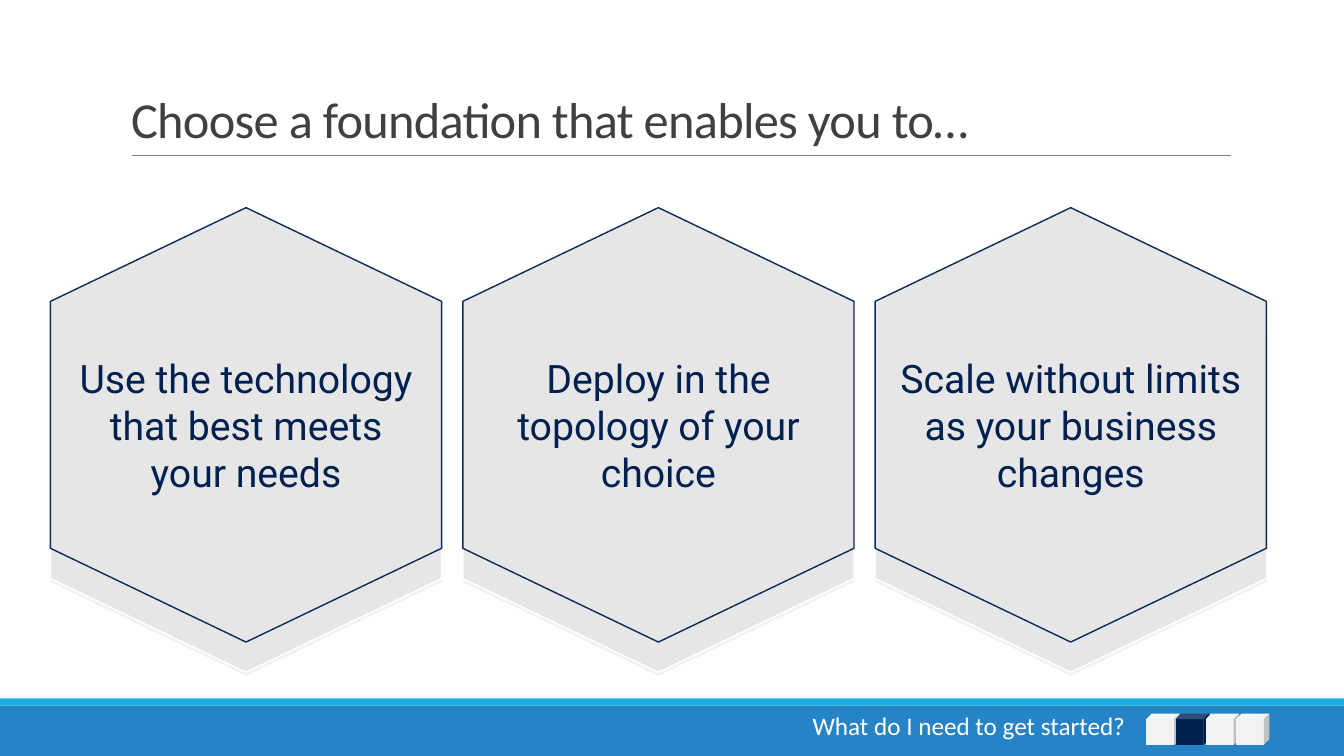
from dataclasses import dataclass

from lxml.etree import SubElement
from pptx import Presentation
from pptx.dml.color import RGBColor as RGB
from pptx.enum.shapes import MSO_CONNECTOR as LINK, MSO_SHAPE as KIND
from pptx.enum.text import MSO_ANCHOR as ANCHOR, MSO_AUTO_SIZE as FIT, PP_ALIGN as ALIGN
from pptx.oxml.ns import qn
from pptx.util import Pt

PX = 9144


@dataclass(frozen=True)
class Theme:
    """Colours, fonts and type sizes of the slide."""
    band: str = "2683C6"
    strip: str = "1CADE4"
    rule: str = "808080"
    title: str = "404040"
    face: str = "E6E6E6"
    edge: str = "0D2B59"
    navy: str = "002050"
    pale: str = "F2F2F2"
    white: str = "FFFFFF"
    sans: str = "Calibri"
    body: str = "Roboto"
    head: int = 36
    text: int = 28
    note: int = 18


THEME = Theme()
GOALS = (
    "Use the technology that best meets your needs",
    "Deploy in the topology of your choice",
    "Scale without limits as your business changes",
)


def px(*sizes):
    """Turn px lengths into EMU."""
    return [size * PX for size in sizes]


def paint(shape, fill, line=None):
    """Give a shape a flat fill and an optional thin outline."""
    shape.shadow.inherit = False
    shape.fill.solid()
    shape.fill.fore_color.rgb = RGB.from_string(fill)
    if line:
        shape.line.color.rgb = RGB.from_string(line)
        shape.line.width = Pt(1)
    else:
        shape.line.fill.background()


def write(frame, words, face, size, color, align):
    """Fill a text frame with one styled paragraph and return it."""
    frame.word_wrap = True
    frame.text = words
    para = frame.paragraphs[0]
    para.alignment = align
    font = para.runs[0].font
    font.name, font.size = face, Pt(size)
    font.color.rgb = RGB.from_string(color)
    return para


def block(slide, kind, box, fill):
    """Add a plain filled preset shape."""
    shape = slide.shapes.add_shape(kind, *px(*box))
    paint(shape, fill)
    return shape


def header(slide, box):
    """Place the title and the rule below it."""
    left, top, wide, high = box
    title = slide.shapes.title
    title.left, title.top, title.width, title.height = px(*box)
    frame = title.text_frame
    para = write(frame, "Choose a foundation that enables you to…",
                 THEME.sans, THEME.head, THEME.title, ALIGN.LEFT)
    frame.auto_size = FIT.NONE
    frame.vertical_anchor = ANCHOR.BOTTOM
    para.line_spacing = 0.85
    para.runs[0].font._element.set("spc", "-50")
    low = top + high + 1
    rule = slide.shapes.add_connector(
        LINK.STRAIGHT, *px(left + 11, low, left + wide + 1, low))
    rule.line.color.rgb = RGB.from_string(THEME.rule)
    rule.line.width = Pt(0.5)
    SubElement(rule._element.spPr, qn("a:effectLst"))


def hexagon(slide, box, line):
    """Draw an upright hexagon that fills its box."""
    left, top, wide, high = box
    mid, right, low, slope = left + wide // 2, left + wide, top + high, 93
    pen = slide.shapes.build_freeform(mid, top, scale=PX)
    pen.add_line_segments([
        (right, top + slope), (right, low - slope), (mid, low),
        (left, low - slope), (left, top + slope)])
    shape = pen.convert_to_shape()
    paint(shape, THEME.face, line)
    return shape


def drop(shape):
    """Add a hard pale shadow straight below a shape."""
    effects = shape._element.spPr.find(qn("a:effectLst"))
    shade = SubElement(effects, qn("a:outerShdw"), blurRad="0",
                       dist=str(Pt(2)), dir="5400000", rotWithShape="0")
    SubElement(shade, qn("a:srgbClr"), val=THEME.pale)


def goals(slide, box):
    """Place a row of hexagons, each above a lowered base."""
    left, top, wide, high = box
    size, step, depth = 388, 409, 30
    spots = [(left + i * step, words) for i, words in enumerate(GOALS)][::-1]
    for spot, _ in spots:
        drop(hexagon(slide, (spot, top + depth, size, high - depth), THEME.white))
    for spot, words in spots:
        shape = hexagon(slide, (spot, top, size, high - depth), THEME.edge)
        frame = shape.text_frame
        frame.vertical_anchor = ANCHOR.MIDDLE
        frame.margin_left, frame.margin_right = px(20, 20)
        frame.margin_top, frame.margin_bottom = px(10, 10)
        write(frame, words, THEME.body, THEME.text, THEME.navy, ALIGN.CENTER)


def footer(slide, box):
    """Place the bottom bands, the section name and its progress cubes."""
    left, top, wide, high = box
    strip = 7
    base = top + strip
    block(slide, KIND.RECTANGLE, (left, base, wide, high - strip), THEME.band)
    block(slide, KIND.RECTANGLE, (left, top, wide, strip), THEME.strip)
    for i in range(4):
        spot = left + 1137 + i * 89 // 3
        cube = block(slide, KIND.CUBE, (spot, base + 8, 33, 31),
                     THEME.navy if i == 1 else THEME.pale)
        cube.adjustments[0] = 0.175
    note = slide.shapes.add_textbox(*px(left + 633, base, 493, 40))
    para = write(note.text_frame, "What do I need to get started?",
                 THEME.sans, THEME.note, THEME.white, ALIGN.RIGHT)
    para.space_after = Pt(6)
    note.text_frame.auto_size = FIT.SHAPE_TO_FIT_TEXT


def main():
    """Build the slide and save it."""
    deck = Presentation()
    deck.slide_width, deck.slide_height = px(1333, 750)
    slide = deck.slides.add_slide(deck.slide_layouts[5])
    header(slide, (120, 21, 1100, 132))
    goals(slide, (50, 206, 1206, 461))
    footer(slide, (0, 693, 1333, 57))
    deck.save("out.pptx")


if __name__ == "__main__":
    main()
